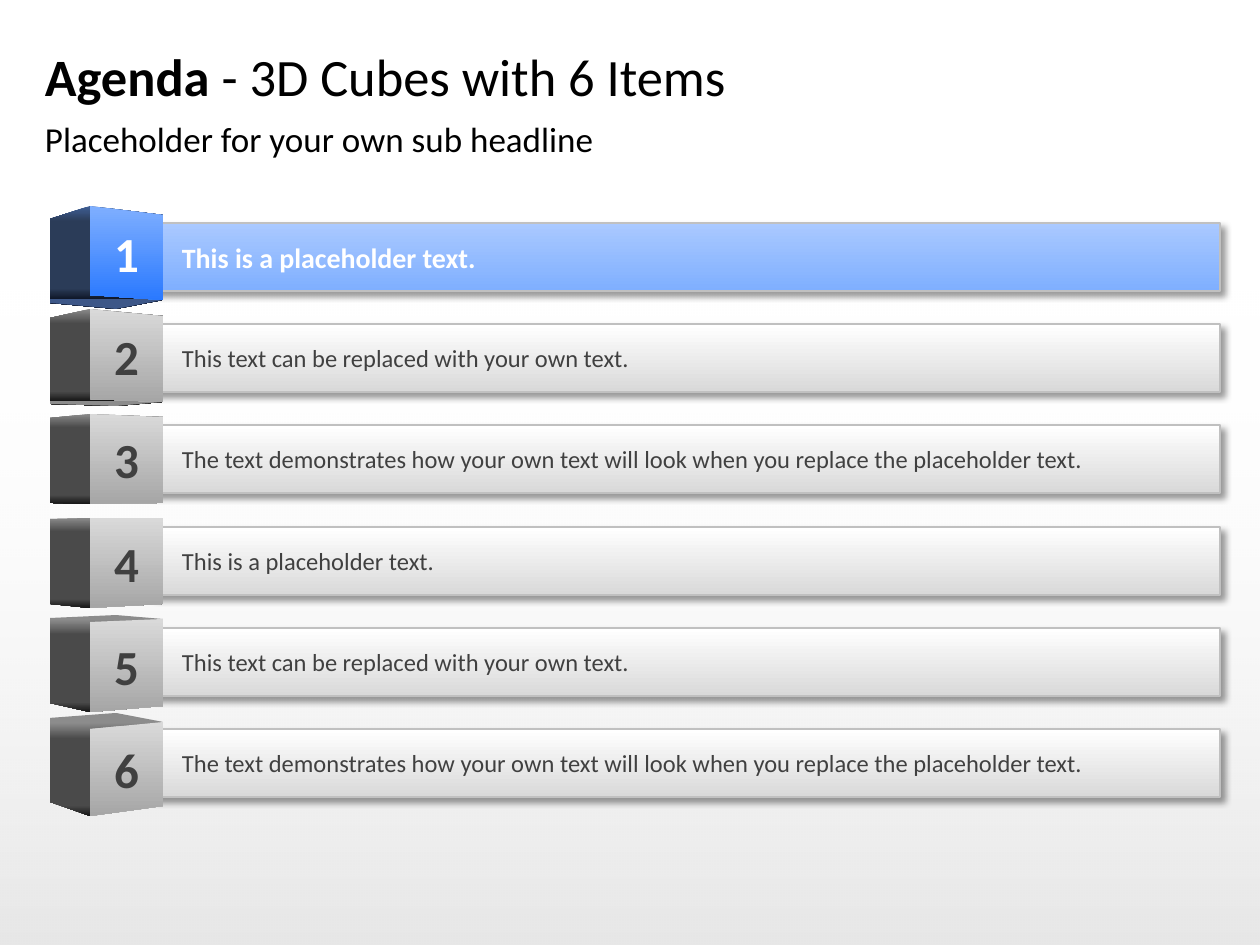
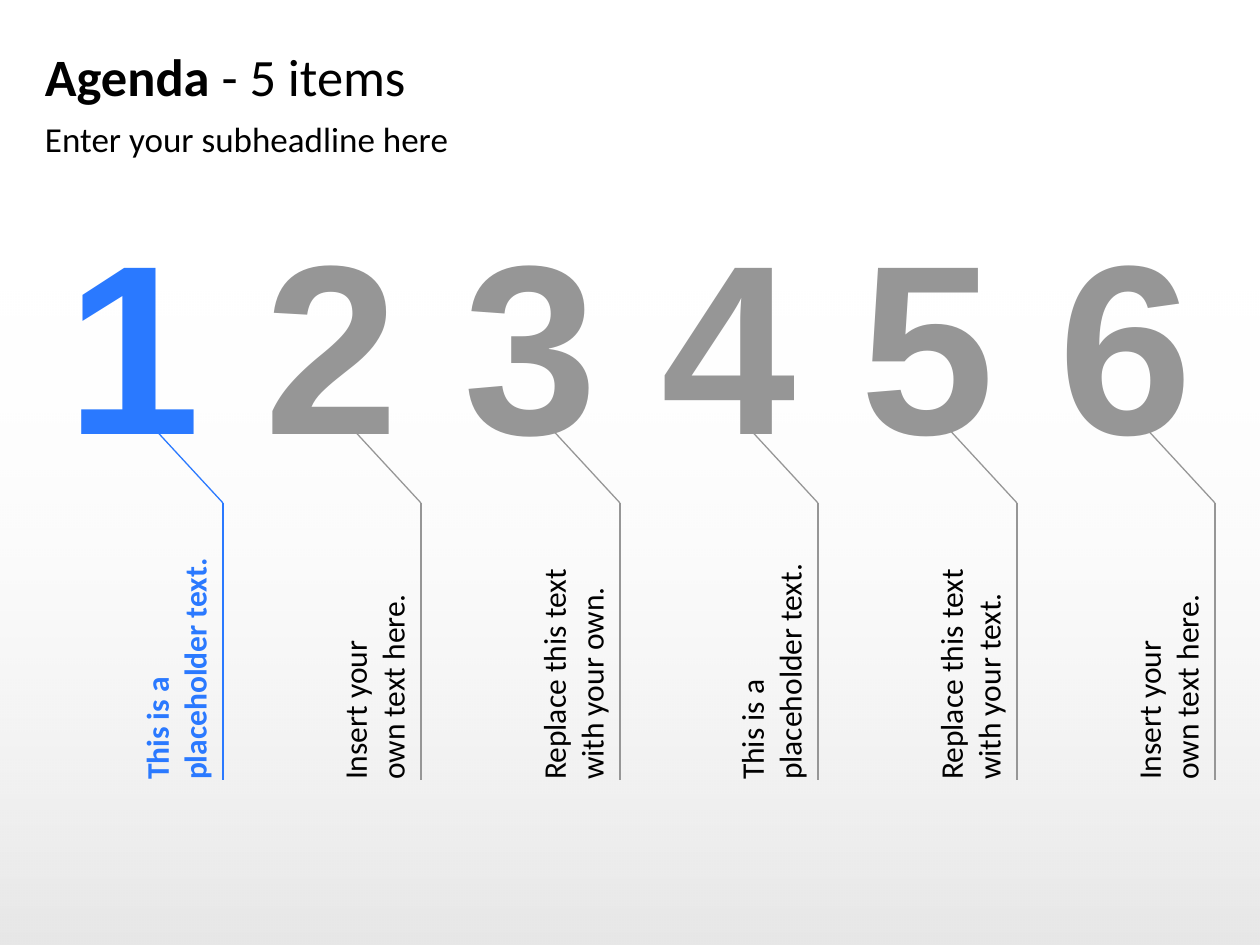
"""Build two agenda slides: six numbered cubes and six numbered columns."""
from dataclasses import dataclass
from typing import Optional

from lxml.etree import SubElement
from pptx import Presentation
from pptx.dml.color import RGBColor
from pptx.enum.shapes import MSO_CONNECTOR, MSO_SHAPE
from pptx.enum.text import MSO_ANCHOR, PP_ALIGN
from pptx.oxml.ns import qn
from pptx.util import Emu, Pt

PX = 914400 / 126
SLIDE_WIDTH, SLIDE_HEIGHT = 1260, 945
MARGIN, CONTENT_WIDTH = 45, 1170

Point = tuple[int, int]


@dataclass(frozen=True)
class Stop:
    """A gradient stop: position and opacity in percent."""
    position: int
    color: str
    opacity: int = 100


@dataclass(frozen=True)
class Palette:
    """Colours of one agenda row, highlighted or plain."""
    bar: tuple[str, str]
    front: tuple[str, str]
    side: tuple[str, str, str]
    cap: str
    text: str
    text_size: int
    bold: bool


@dataclass(frozen=True)
class Theme:
    """Colours, fonts and type sizes of both slides."""
    font: str = "Calibri"
    digit_font: str = "Arial"
    ink: str = "000000"
    paper: str = "FFFFFF"
    accent: str = "2A79FF"
    muted: str = "969696"
    outline: str = "C0C0C0"
    title_size: int = 30
    subtitle_size: int = 20
    cube_size: int = 28
    label_size: int = 18
    digit_size: int = 138
    active: Palette = Palette(("AAC9FF", "7FAFFF"), ("7FAFFF", "2A79FF"),
                              ("3F5F96", "2B3C58", "10182A"), "3D5788", "FFFFFF", 16, True)
    plain: Palette = Palette(("FFFFFF", "D9D9D9"), ("D9D9D9", "A6A6A6"),
                             ("8A8A8A", "4A4A4A", "161616"), "8C8C8C", "404040", 14, False)


THEME = Theme()


@dataclass(frozen=True)
class Cube:
    """Heights of the corners of a cube seen in perspective, in px."""
    outer_top: int
    outer_bottom: int
    left_top: int
    left_bottom: int
    right_top: int
    right_bottom: int
    tip: Optional[int] = None


@dataclass(frozen=True)
class AgendaRow:
    """A bar text with the cube that numbers it."""
    text: str
    cube: Cube


ROWS = (
    AgendaRow("This is a placeholder text.", Cube(219, 303, 206, 295, 215, 300, 309)),
    AgendaRow("This text can be replaced with your own text.",
              Cube(318, 404, 309, 399, 316, 402, 406)),
    AgendaRow("The text demonstrates how your own text will look when you replace the placeholder text.",
              Cube(418, 503, 414, 504, 417, 503)),
    AgendaRow("This is a placeholder text.", Cube(519, 604, 518, 608, 518, 604)),
    AgendaRow("This text can be replaced with your own text.",
              Cube(618, 703, 622, 712, 619, 706, 615)),
    AgendaRow("The text demonstrates how your own text will look when you replace the placeholder text.",
              Cube(718, 802, 729, 816, 722, 806, 713)),
)
COLUMNS = (
    "This is a \nplaceholder text.",
    "Insert your \nown text here.",
    "Replace this text \nwith your own.",
    "This is a \nplaceholder text.",
    "Replace this text \nwith your text.",
    "Insert your \nown text here.",
)

BAR_LEFT, BAR_TOP, BAR_WIDTH, BAR_HEIGHT, BAR_PITCH = 152, 223, 1068, 68, 101.2
CUBE_OUTER, CUBE_EDGE, CUBE_RIGHT, CUBE_TIP = 50, 90, 163, 116
COLUMN_WIDTH = 178
COLUMN_LEFTS = [MARGIN + index * 397 // 2 for index in range(len(COLUMNS))]


def px(length: float) -> Emu:
    """Turn px into EMU."""
    return Emu(round(length * PX))


def box(left: int, top: int, width: int, height: int) -> tuple[Emu, ...]:
    """Turn a px rectangle into EMU."""
    return px(left), px(top), px(width), px(height)


def write(shape, text: str, *, size: int, color: str, lead: str = "", bold: bool = False,
          font: str = THEME.font, align=PP_ALIGN.LEFT, anchor=MSO_ANCHOR.TOP,
          insets: tuple[int, int, int, int] = (0, 0, 0, 0), vertical: str = "horz") -> None:
    """Put text, after an optional bold lead, into a shape."""
    frame = shape.text_frame
    frame.word_wrap = True
    frame.vertical_anchor = anchor
    frame.margin_left, frame.margin_top, frame.margin_right, frame.margin_bottom = map(px, insets)
    frame._txBody.bodyPr.set("vert", vertical)
    paragraph = frame.paragraphs[0]
    paragraph.alignment = align
    pieces = [(lead, True)] if lead else []
    pieces += [(line, bold) for line in text.split("\n")]
    for index, (piece, heavy) in enumerate(pieces):
        if index and not lead:
            paragraph.add_line_break()
        run = paragraph.add_run()
        run.text = piece
        run.font.name, run.font.size, run.font.bold = font, Pt(size), heavy
        run.font.color.rgb = RGBColor.from_string(color)


def fill_gradient(shape, *stops: Stop, angle: int = 270) -> None:
    """Fill a shape with a linear gradient, by default running down."""
    shape.shadow.inherit = False
    shape.line.fill.background()
    shape.fill.gradient()
    shape.fill.gradient_angle = angle
    stop_list = shape._element.spPr.find(f".//{qn('a:gsLst')}")
    stop_list[:] = []
    for stop in stops:
        entry = SubElement(stop_list, qn("a:gs"), pos=str(stop.position * 1000))
        color = SubElement(entry, qn("a:srgbClr"), val=stop.color)
        if stop.opacity < 100:
            SubElement(color, qn("a:alpha"), val=str(stop.opacity * 1000))


def cast_shadow(shape) -> None:
    """Give a shape a soft shadow towards the lower right."""
    effects = shape._element.spPr.find(qn("a:effectLst"))
    shadow = SubElement(effects, qn("a:outerShdw"), blurRad=str(Pt(4)), dist=str(Pt(3)),
                        dir="2700000", algn="tl", rotWithShape="0")
    color = SubElement(shadow, qn("a:srgbClr"), val=THEME.ink)
    SubElement(color, qn("a:alpha"), val="40000")


def add_face(slide, corners: list[Point], *stops: Stop):
    """Draw a polygon with a gradient running down."""
    points = [(px(x), px(y)) for x, y in corners]
    builder = slide.shapes.build_freeform(*points[0])
    builder.add_line_segments(points[1:], close=True)
    face = builder.convert_to_shape()
    fill_gradient(face, *stops)
    return face


def body_outline(cube: Cube) -> list[Point]:
    """Return the silhouette of a cube, clockwise from the outer top."""
    above = cube.tip is not None and cube.tip < cube.left_top
    below = cube.tip is not None and not above
    return [
        (CUBE_OUTER, cube.outer_top),
        (CUBE_TIP, cube.tip) if above else (CUBE_EDGE, cube.left_top),
        (CUBE_RIGHT, cube.right_top),
        (CUBE_RIGHT, cube.right_bottom),
        (CUBE_TIP, cube.tip) if below else (CUBE_EDGE, cube.left_bottom),
        (CUBE_OUTER, cube.outer_bottom),
    ]


def body_stops(cube: Cube, palette: Palette) -> list[Stop]:
    """Shade the side of a cube and, past a seam, its cap."""
    light, base, dark = palette.side
    heights = [y for _, y in body_outline(cube)]
    top, bottom = min(heights), max(heights)

    def seam(outer: int, left: int) -> int:
        """Return the mean height of a slanted edge in percent."""
        return round(100 * ((outer + left) / 2 - top) / (bottom - top))

    start, end = 0, 100
    if cube.tip == top:
        start = seam(cube.outer_top, cube.left_top)
    elif cube.tip == bottom:
        end = seam(cube.outer_bottom, cube.left_bottom)
    side = [Stop(start, light), Stop(start + 15, base), Stop(end - 10, base), Stop(end, dark)]
    before = [Stop(0, palette.cap), Stop(start, palette.cap)] if start else []
    after = [Stop(end, palette.cap), Stop(100, palette.cap)] if end < 100 else []
    return before + side + after


def add_cube(slide, number: int, cube: Cube, palette: Palette) -> None:
    """Draw a numbered cube as a body with a front."""
    add_face(slide, body_outline(cube), *body_stops(cube, palette))
    front = add_face(slide, [(CUBE_EDGE, cube.left_top), (CUBE_RIGHT, cube.right_top),
                             (CUBE_RIGHT, cube.right_bottom), (CUBE_EDGE, cube.left_bottom)],
                     Stop(0, palette.front[0]), Stop(100, palette.front[1]))
    write(front, str(number), size=THEME.cube_size, color=palette.text, bold=True,
          align=PP_ALIGN.CENTER, anchor=MSO_ANCHOR.MIDDLE)


def add_bar(slide, text: str, top: int, palette: Palette) -> None:
    """Draw the bar that holds an agenda text."""
    bar = slide.shapes.add_shape(MSO_SHAPE.RECTANGLE, *box(BAR_LEFT, top, BAR_WIDTH, BAR_HEIGHT))
    fill_gradient(bar, Stop(0, palette.bar[0]), Stop(100, palette.bar[1]))
    bar.line.color.rgb = RGBColor.from_string(THEME.outline)
    bar.line.width = Pt(1)
    cast_shadow(bar)
    write(bar, text, size=palette.text_size, color=palette.text, bold=palette.bold,
          anchor=MSO_ANCHOR.MIDDLE, insets=(30, 5, 30, 5))


def add_line(slide, start: Point, end: Point, color: str) -> None:
    """Draw a thin straight line."""
    line = slide.shapes.add_connector(MSO_CONNECTOR.STRAIGHT, *map(px, (*start, *end)))
    line.line.color.rgb = RGBColor.from_string(color)
    line.line.width = Pt(0.75)
    SubElement(line._element.spPr, qn("a:effectLst"))


def add_label(slide, text: str, left: int, active: bool) -> None:
    """Draw an upright label with its bent leader line."""
    color = THEME.accent if active else THEME.muted
    bend, foot = (left + COLUMN_WIDTH, 503), (left + COLUMN_WIDTH, 780)
    label = slide.shapes.add_textbox(*box(bend[0] - 87, bend[1], 87, foot[1] - bend[1]))
    write(label, text, size=THEME.label_size, color=color if active else THEME.ink, bold=active,
          anchor=MSO_ANCHOR.BOTTOM, insets=(0, 0, 10, 0), vertical="vert270")
    add_line(slide, foot, bend, color)
    add_line(slide, bend, (bend[0] - 72, bend[1] - 78), color)


def add_digit(slide, number: int, left: int, active: bool) -> None:
    """Draw the large digit at the head of a column."""
    digit = slide.shapes.add_textbox(*box(left, 214, COLUMN_WIDTH, 248))
    write(digit, str(number), size=THEME.digit_size, bold=True, font=THEME.digit_font,
          color=THEME.accent if active else THEME.muted,
          align=PP_ALIGN.CENTER, anchor=MSO_ANCHOR.MIDDLE)


def add_agenda_slide(deck, topic: str, subtitle: str):
    """Add a slide with the shared backdrop, title and subtitle."""
    slide = deck.slides.add_slide(deck.slide_layouts[6])
    backdrop = slide.shapes.add_shape(MSO_SHAPE.RECTANGLE, *box(0, 278, SLIDE_WIDTH, 667))
    fill_gradient(backdrop, Stop(0, THEME.ink, 10), Stop(100, THEME.paper, 0), angle=90)
    title = slide.shapes.add_textbox(*box(MARGIN, 34, CONTENT_WIDTH, 84))
    write(title, topic, lead="Agenda ", size=THEME.title_size, color=THEME.ink,
          anchor=MSO_ANCHOR.MIDDLE)
    subhead = slide.shapes.add_textbox(*box(MARGIN, 117, CONTENT_WIDTH, 47))
    write(subhead, subtitle, size=THEME.subtitle_size, color=THEME.ink)
    return slide


def main() -> None:
    """Build and save both slides."""
    deck = Presentation()
    deck.slide_width, deck.slide_height = px(SLIDE_WIDTH), px(SLIDE_HEIGHT)

    cubes = add_agenda_slide(deck, "- 3D Cubes with 6 Items",
                             "Placeholder for your own sub headline")
    for index, row in enumerate(ROWS):
        palette = THEME.plain if index else THEME.active
        add_bar(cubes, row.text, BAR_TOP + round(index * BAR_PITCH), palette)
        add_cube(cubes, index + 1, row.cube, palette)

    columns = add_agenda_slide(deck, "- 5 items", "Enter your subheadline here")
    for index, (text, left) in enumerate(zip(COLUMNS, COLUMN_LEFTS)):
        add_label(columns, text, left, index == 0)
    for index, left in enumerate(COLUMN_LEFTS):
        add_digit(columns, index + 1, left, index == 0)

    deck.save("out.pptx")


if __name__ == "__main__":
    main()
